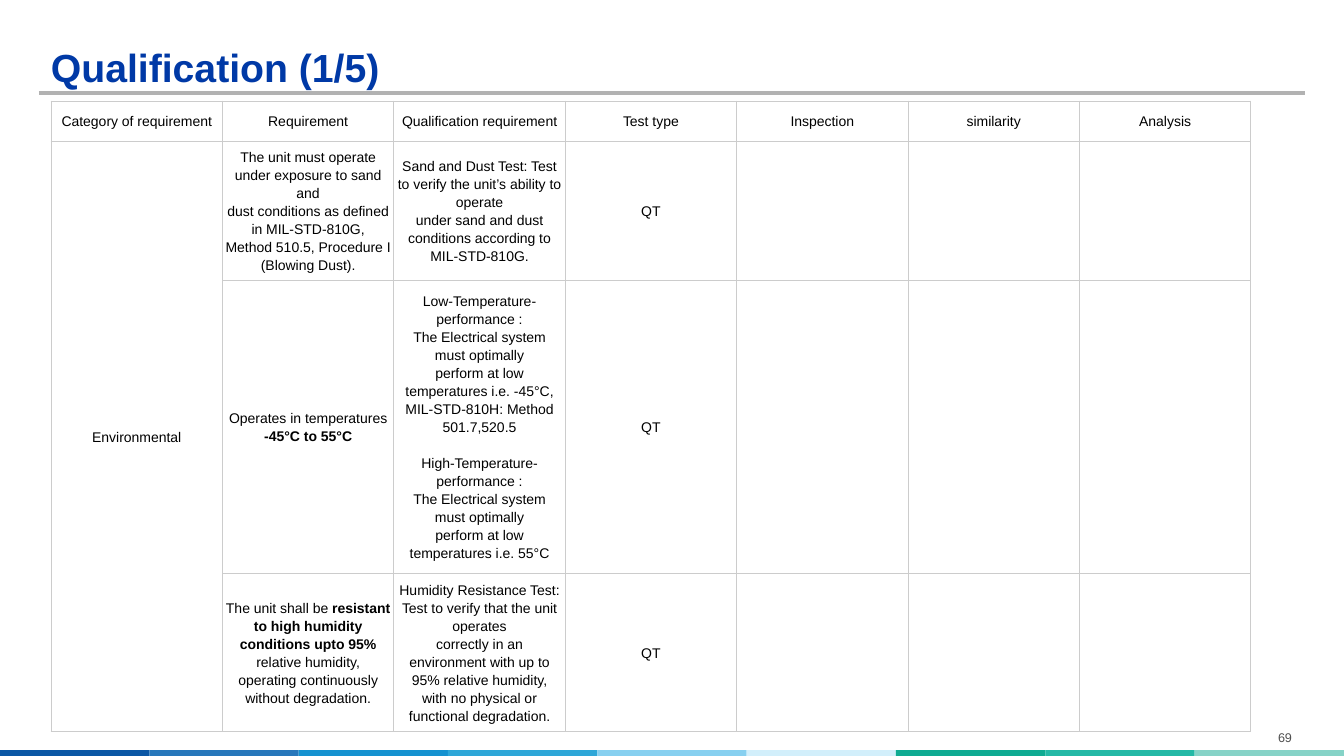
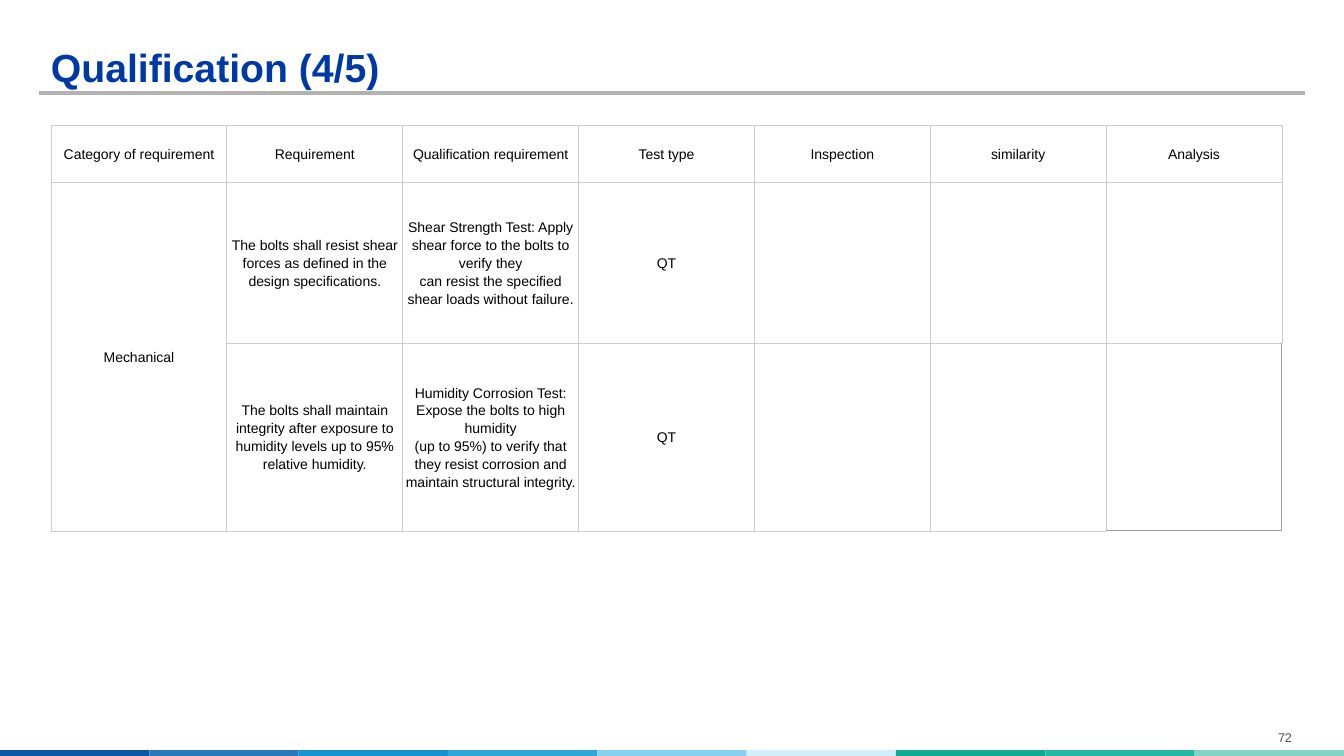
from dataclasses import dataclass
from typing import Optional

from lxml.etree import SubElement
from pptx import Presentation
from pptx.dml.color import RGBColor
from pptx.enum.shapes import MSO_CONNECTOR, MSO_SHAPE
from pptx.enum.text import MSO_ANCHOR as Anchor, MSO_AUTO_SIZE as AutoSize, PP_ALIGN as Align
from pptx.oxml.ns import qn
from pptx.util import Emu, Pt

# Scale and page
EMU_PER_PX = 914400 / 100.8
PAGE_W, PAGE_H = 1344, 756

# Shared look
FONT = "Arial"
WHITE = RGBColor(0xFF, 0xFF, 0xFF)
BLACK = RGBColor(0x00, 0x00, 0x00)
TITLE_BLUE = RGBColor(0x00, 0x39, 0xA6)
RULE_GREY = RGBColor(0xB2, 0xB2, 0xB2)
PAGE_GREY = RGBColor(0x4F, 0x4F, 0x4F)
BORDER_LIGHT = RGBColor(0xCC, 0xCC, 0xCC)
BORDER_DARK = RGBColor(0x9E, 0x9E, 0x9E)
BAND_COLORS = [
    RGBColor(0x0B, 0x57, 0xA5), RGBColor(0x27, 0x77, 0xBB), RGBColor(0x15, 0x92, 0xD0),
    RGBColor(0x2E, 0xA7, 0xD8), RGBColor(0x87, 0xD0, 0xF0), RGBColor(0xD2, 0xEF, 0xFB),
    RGBColor(0x0E, 0xAB, 0x92), RGBColor(0x24, 0xB9, 0xA6), RGBColor(0x86, 0xD3, 0xC7),
]
BAND_TOP = 750
TABLE_LEFT = 51
HEADERS = ["Category of requirement", "Requirement", "Qualification requirement",
           "Test type", "Inspection", "similarity", "Analysis"]


@dataclass
class Check:
    """One table row; ** toggles bold, a blank line means a line of space."""
    height: int
    requirement: str
    test: str
    test_type: str = "QT"


@dataclass
class Page:
    title: str
    number: int
    top: int
    width: int
    header_height: int
    category: str
    checks: list[Check]
    dark_corner: bool = False


PAGES = [
    Page("Qualification (1/5)", 69, 101, 1200, 40, "Environmental", [
        Check(132,
              "The unit must operate under exposure to sand and\n"
              "dust conditions as defined in MIL-STD-810G,\n"
              "Method 510.5, Procedure I (Blowing Dust).",
              "Sand and Dust Test: Test to verify the unit’s ability to operate\n"
              "under sand and dust conditions according to MIL-STD-810G."),
        Check(283,
              "Operates in temperatures **-45°C to 55°C**",
              "Low-Temperature-performance :\n"
              "The Electrical system must optimally\n"
              "perform at low temperatures i.e. -45°C,\n"
              "MIL-STD-810H: Method 501.7,520.5\n\n"
              "High-Temperature-performance :\n"
              "The Electrical system must optimally\n"
              "perform at low temperatures i.e. 55°C"),
        Check(151,
              "The unit shall be** resistant to high humidity conditions upto 95%**\n"
              "relative humidity, operating continuously without degradation.",
              "Humidity Resistance Test: Test to verify that the unit operates\n"
              "correctly in an environment with up to 95% relative humidity,\n"
              "with no physical or functional degradation."),
    ]),
    Page("Qualification (4/5)", 72, 125, 1231, 57, "Mechanical", [
        Check(161,
              "The bolts shall resist shear forces as defined in the design specifications.",
              "Shear Strength Test: Apply shear force to the bolts to verify they\n"
              "can resist the specified shear loads without failure."),
        Check(188,
              "The bolts shall maintain integrity after exposure to humidity levels "
              "up to 95% relative humidity.",
              "Humidity Corrosion Test: Expose the bolts to high humidity\n"
              "(up to 95%) to verify that they resist corrosion and maintain "
              "structural integrity."),
    ], dark_corner=True),
]


def px(n: float) -> Emu:
    return Emu(round(n * EMU_PER_PX))


def write(tf, text: str, *, size: int, color: RGBColor = BLACK, bold: bool = False,
          align: Align = Align.CENTER, spacing: Optional[float] = None) -> None:
    """Fill a text frame, one paragraph a line."""
    p = tf.paragraphs[0]
    for block_no, block in enumerate(text.split("\n\n")):
        for line_no, line in enumerate(block.split("\n")):
            if block_no or line_no:
                p = tf.add_paragraph()
            if block_no and not line_no:
                p.space_before = Pt(13)
            p.alignment = align
            if spacing:
                p.line_spacing = spacing
            for i, part in enumerate(line.split("**")):
                if part:
                    r = p.add_run()
                    r.text = part
                    r.font.name, r.font.size = FONT, Pt(size)
                    r.font.bold = bold or i % 2 == 1
                    r.font.color.rgb = color


def set_borders(cell, dark_sides: str = "") -> None:
    tc_pr = cell._tc.get_or_add_tcPr()
    for side in "LRTB":
        dark = side in dark_sides
        ln = SubElement(tc_pr, qn(f"a:ln{side}"), w=str(Pt(0.75 if dark else 0.6)))
        fill = SubElement(ln, qn("a:solidFill"))
        SubElement(fill, qn("a:srgbClr"), val=str(BORDER_DARK if dark else BORDER_LIGHT))


def add_frame(s, page: Page) -> None:
    """Colour band, title with its rule, and page number."""
    band = s.shapes.add_group_shape()
    step = PAGE_W / len(BAND_COLORS)
    for i, color in enumerate(BAND_COLORS):
        sp = band.shapes.add_shape(MSO_SHAPE.RECTANGLE, px(i * step), px(BAND_TOP),
                                   px(step), px(PAGE_H - BAND_TOP))
        sp.shadow.inherit = False
        sp.fill.solid()
        sp.fill.fore_color.rgb = color
        sp.line.fill.background()

    rule = s.shapes.add_connector(MSO_CONNECTOR.STRAIGHT, px(39), px(93), px(1305), px(93))
    rule.line.color.rgb = RULE_GREY
    rule.line.width = Pt(2.25)
    SubElement(rule._element.spPr, qn("a:effectLst"))

    title = s.shapes.title
    title.left, title.top, title.width, title.height = px(51), px(20), px(1243), px(71)
    tf = title.text_frame
    tf.auto_size, tf.word_wrap, tf.vertical_anchor = AutoSize.NONE, True, Anchor.BOTTOM
    tf.margin_left = tf.margin_right = tf.margin_top = tf.margin_bottom = 0
    write(tf, page.title, size=28, color=TITLE_BLUE, bold=True, align=Align.LEFT, spacing=0.9)

    number = s.shapes.add_textbox(px(1243), px(725), px(84), px(26))
    number.text_frame.word_wrap = True
    write(number.text_frame, str(page.number), size=9, color=PAGE_GREY)


def add_checks_table(s, page: Page) -> None:
    heights = [page.header_height] + [check.height for check in page.checks]
    n_rows, n_cols = len(heights), len(HEADERS)
    table = s.shapes.add_table(n_rows, n_cols, px(TABLE_LEFT), px(page.top),
                               px(page.width), px(sum(heights))).table
    table.first_row = table.horz_banding = False
    for column in table.columns:
        column.width = px(page.width / n_cols)
    for row, height in zip(table.rows, heights):
        row.height = px(height)

    texts = [HEADERS]
    for i, check in enumerate(page.checks):
        category = "" if i else page.category
        texts.append([category, check.requirement, check.test, check.test_type, "", "", ""])
    for i, row_texts in enumerate(texts):
        for j, text in enumerate(row_texts):
            cell = table.cell(i, j)
            is_corner = (i, j) == (n_rows - 1, n_cols - 1)
            set_borders(cell, "RB" if page.dark_corner and is_corner else "")
            cell.fill.background()
            cell.vertical_anchor = Anchor.MIDDLE
            cell.margin_left = cell.margin_right = px(3)
            cell.margin_top = cell.margin_bottom = px(2)
            write(cell.text_frame, text, size=10, spacing=1.15)
    table.cell(1, 0).merge(table.cell(n_rows - 1, 0))


def main() -> None:
    prs = Presentation()
    prs.slide_width, prs.slide_height = px(PAGE_W), px(PAGE_H)
    title_only = prs.slide_layouts[5]
    background = prs.slide_master.background.fill
    background.solid()
    background.fore_color.rgb = WHITE
    for page in PAGES:
        s = prs.slides.add_slide(title_only)
        add_frame(s, page)
        add_checks_table(s, page)
    prs.save("out.pptx")


if __name__ == "__main__":
    main()
